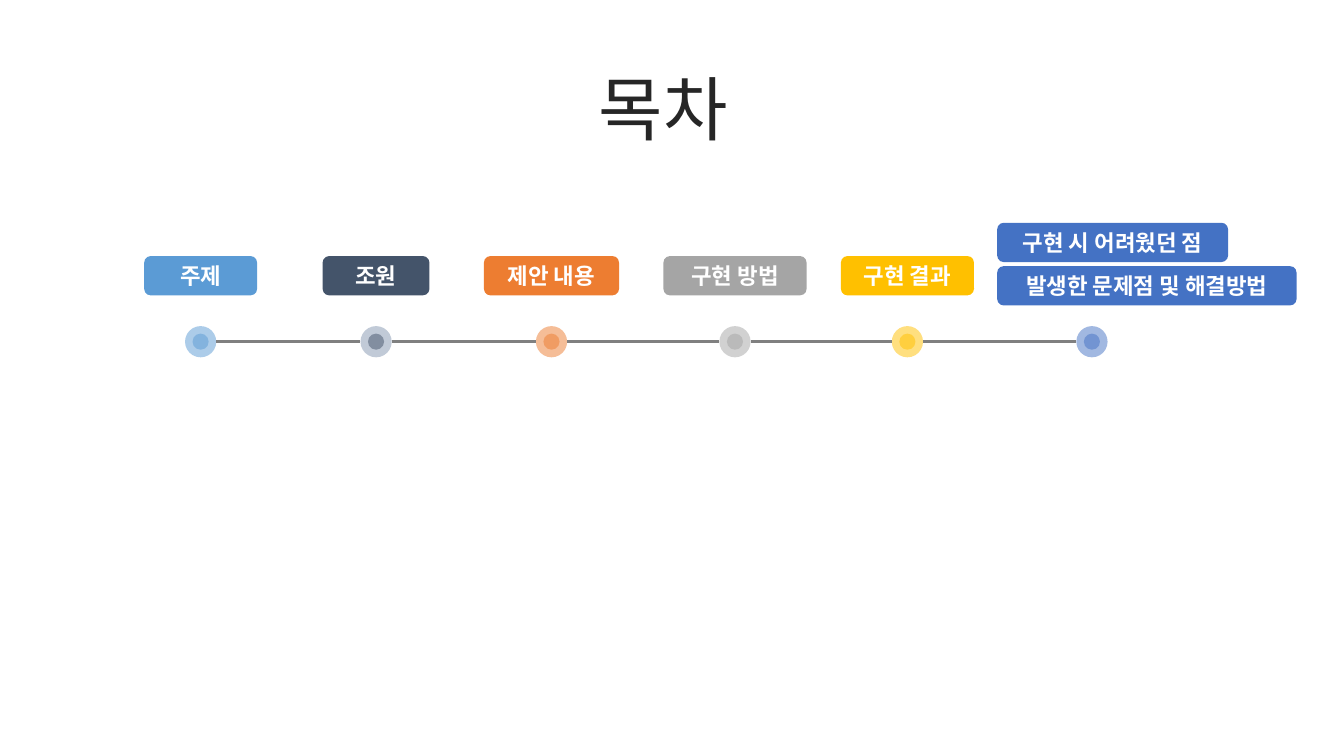
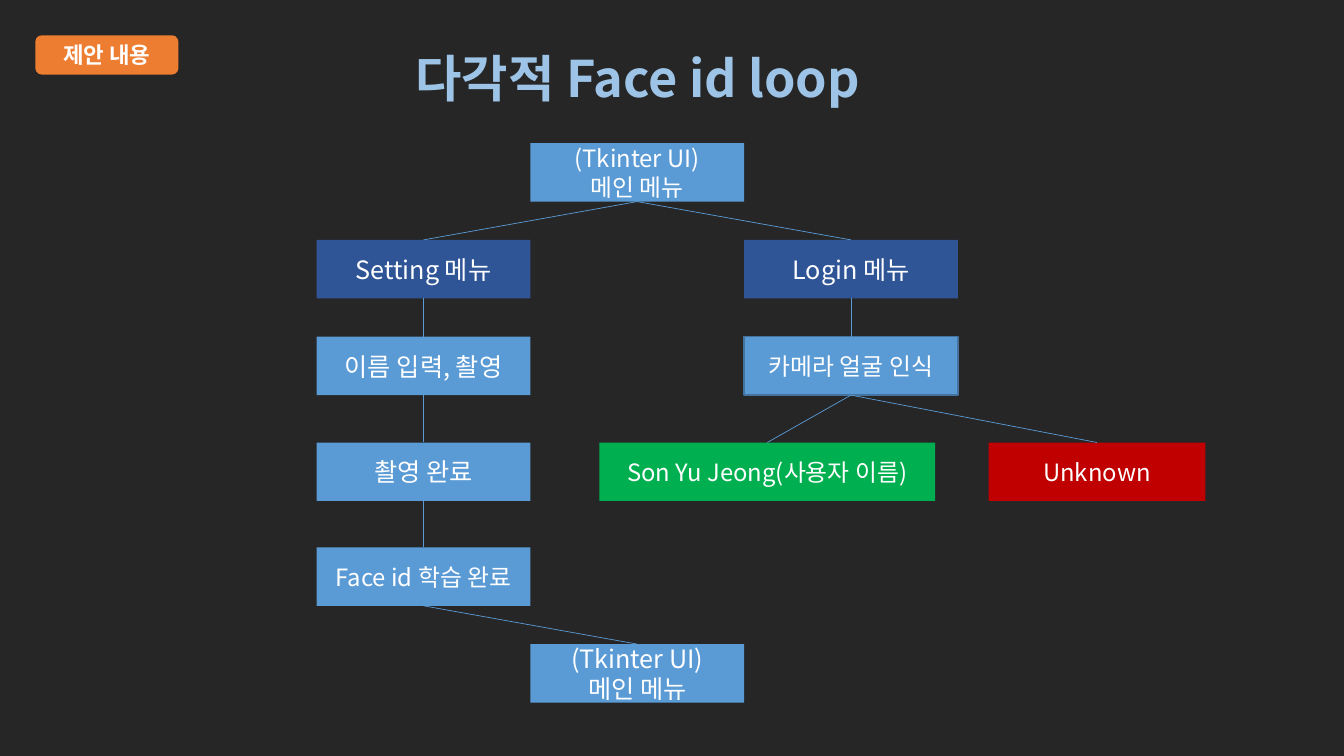
from itertools import pairwise

from lxml.etree import SubElement
from pptx import Presentation
from pptx.dml.color import RGBColor
from pptx.enum.shapes import MSO_CONNECTOR, MSO_SHAPE
from pptx.enum.text import MSO_ANCHOR, PP_ALIGN
from pptx.oxml.ns import qn
from pptx.util import Inches, Pt

FONT = "Noto Sans CJK KR"
WHITE, DARK, GRAY, SKY = "FFFFFF", "262626", "808080", "9DC3E6"
BLUE, NAVY, SLATE, STEEL = "5B9BD5", "2F5597", "44546A", "8497B0"
ORANGE, SILVER, GOLD, ROYAL = "ED7D31", "A5A5A5", "FFC000", "4472C4"
GREEN, RED, EDGE = "00B050", "C00000", "43739E"
TAG_H = 0.39
DOT, CORE = 0.31, 0.16
NODE_W, NODE_H = 2.12, 0.58


def paint(fill, color, alpha=None):
    """Set a solid fill from a hex string, with optional opacity in percent."""
    fill.solid()
    fill.fore_color.rgb = RGBColor.from_string(color)
    if alpha is not None:
        tone = fill._xPr.find(qn("a:solidFill"))[0]
        SubElement(tone, qn("a:alpha")).set("val", str(alpha * 1000))


def write(shape, lines, size, color=WHITE, bold=False):
    """Write centred lines into a shape, one paragraph for each."""
    frame = shape.text_frame
    frame.word_wrap = True
    frame.vertical_anchor = MSO_ANCHOR.MIDDLE
    for i, line in enumerate(lines):
        para = frame.add_paragraph() if i else frame.paragraphs[0]
        para.alignment = PP_ALIGN.CENTER
        run = para.add_run()
        run.text = line
        font = run.font
        font.name, font.size, font.bold = FONT, Pt(size), bold
        paint(font.fill, color)
        SubElement(font._element, qn("a:ea")).set("typeface", FONT)


def block(shapes, kind, box, color, alpha=None):
    """Add a flat preset shape in a box given in inches."""
    shape = shapes.add_shape(kind, *map(Inches, box))
    shape.shadow.inherit = False
    shape.line.fill.background()
    paint(shape.fill, color, alpha)
    return shape


def link(slide, ends, color, width):
    """Draw a flat straight line, given x, y, x, y in inches."""
    line = slide.shapes.add_connector(
        MSO_CONNECTOR.STRAIGHT, *map(Inches, ends))
    line.line.width = Pt(width)
    paint(line.line.fill, color)
    SubElement(line._element.spPr, qn("a:effectLst"))
    return line


def title(slide, box, text, size, color, bold=False):
    """Place the slide title and return its paragraph."""
    label = slide.shapes.add_textbox(*map(Inches, box))
    write(label, [text], size, color, bold)
    return label.text_frame.paragraphs[0]


def tag(slide, left, top, width, text, color):
    """Place a rounded section label."""
    box = (left, top, width, TAG_H)
    shape = block(slide.shapes, MSO_SHAPE.ROUNDED_RECTANGLE, box, color)
    write(shape, [text], 16, bold=True)


def marker(slide, x, y, halo, core):
    """Place a two-ring dot centred on a point."""
    group = slide.shapes.add_group_shape()
    for size, color in ((DOT, halo), (CORE, core)):
        box = (x - size / 2, y - size / 2, size, size)
        block(group.shapes, MSO_SHAPE.OVAL, box, color, 50)


def timeline(slide, left, top):
    """Place the row of section labels above its linked dots."""
    stops = [
        (0.57, 1.12, "주제", BLUE, BLUE),
        (2.31, 1.06, "조원", STEEL, SLATE),
        (4.05, 1.34, "제안 내용", ORANGE, ORANGE),
        (5.87, 1.42, "구현 방법", SILVER, SILVER),
        (7.58, 1.32, "구현 결과", GOLD, GOLD),
    ]
    last = 9.41
    y = top + 1.18
    for x, width, text, halo, core in stops:
        tag(slide, left + x - width / 2, top + 0.33, width, text, core)
        marker(slide, left + x, y, halo, core)
    for row, (width, text) in enumerate(
            [(2.29, "구현 시 어려웠던 점"), (2.97, "발생한 문제점 및 해결방법")]):
        tag(slide, left + 8.47, top + row * 0.43, width, text, ROYAL)
    marker(slide, left + last, y, ROYAL, ROYAL)
    for one, two in pairwise([stop[0] for stop in stops] + [last]):
        ends = (left + one + DOT / 2, y, left + two - DOT / 2, y)
        link(slide, ends, GRAY, 2)


def tree(slide, left, top):
    """Place the flow of menus and link each step to the next."""
    cols = [left + NODE_W * (i + 0.5) for i in range(3)]
    rows = [top + y for y in (0, 0.96, 1.92, 2.97, 4.01, 4.97)]
    menu = ["(Tkinter UI)", "메인 메뉴"]
    steps = {
        "main": (cols[1], 0, NODE_W, menu, 17, BLUE),
        "setting": (cols[0], 1, NODE_W, ["Setting 메뉴"], 18, NAVY),
        "login": (cols[2], 1, NODE_W, ["Login 메뉴"], 18, NAVY),
        "input": (cols[0], 2, NODE_W, ["이름 입력, 촬영"], 18, BLUE),
        "camera": (cols[2], 2, NODE_W, ["카메라 얼굴 인식"], 17, BLUE),
        "shot": (cols[0], 3, NODE_W, ["촬영 완료"], 18, BLUE),
        "user": (left + 4.47, 3, 3.33, ["Son Yu Jeong(사용자 이름)"], 17, GREEN),
        "unknown": (left + 7.74, 3, 2.15, ["Unknown"], 17, RED),
        "learned": (cols[0], 4, NODE_W, ["Face id 학습 완료"], 17, BLUE),
        "back": (cols[1], 5, NODE_W, menu, 18, BLUE),
    }
    nodes = {}
    for name, (x, row, width, lines, size, color) in steps.items():
        box = (x - width / 2, rows[row], width, NODE_H)
        node = block(slide.shapes, MSO_SHAPE.RECTANGLE, box, color)
        node.text_frame.margin_left = node.text_frame.margin_right = Inches(0.05)
        write(node, lines, size)
        nodes[name] = node
    edge = nodes["camera"].line
    edge.width = Pt(1)
    paint(edge.fill, EDGE)
    paths = [
        ("main", "setting", "input", "shot", "learned", "back"),
        ("main", "login", "camera", "user"),
        ("camera", "unknown"),
    ]
    for chain in paths:
        for one, two in pairwise(chain):
            line = link(slide, (0, 0, 0, 0), BLUE, 0.5)
            line.begin_connect(nodes[one], 2)
            line.end_connect(nodes[two], 0)


def page(deck, color):
    """Add a blank slide with a plain background."""
    slide = deck.slides.add_slide(deck.slide_layouts[6])
    paint(slide.background.fill, color)
    return slide


def agenda(deck):
    """Build the contents slide."""
    slide = page(deck, WHITE)
    timeline(slide, 1.42, 2.21)
    para = title(slide, (0.25, 0.75, 12.66, 0.79), "목차", 50, DARK)
    para.line_spacing = 0.8
    para.space_before = Pt(10)


def flow(deck):
    """Build the menu flow slide."""
    slide = page(deck, DARK)
    tag(slide, 0.35, 0.35, 1.42, "제안 내용", ORANGE)
    title(slide, (3.18, 0.41, 6.29, 0.71), "다각적 Face id loop", 36, SKY, True)
    tree(slide, 3.14, 1.42)


def main():
    """Build and save the deck."""
    deck = Presentation()
    deck.slide_width, deck.slide_height = Inches(13.33), Inches(7.5)
    agenda(deck)
    flow(deck)
    deck.save("out.pptx")


if __name__ == "__main__":
    main()
